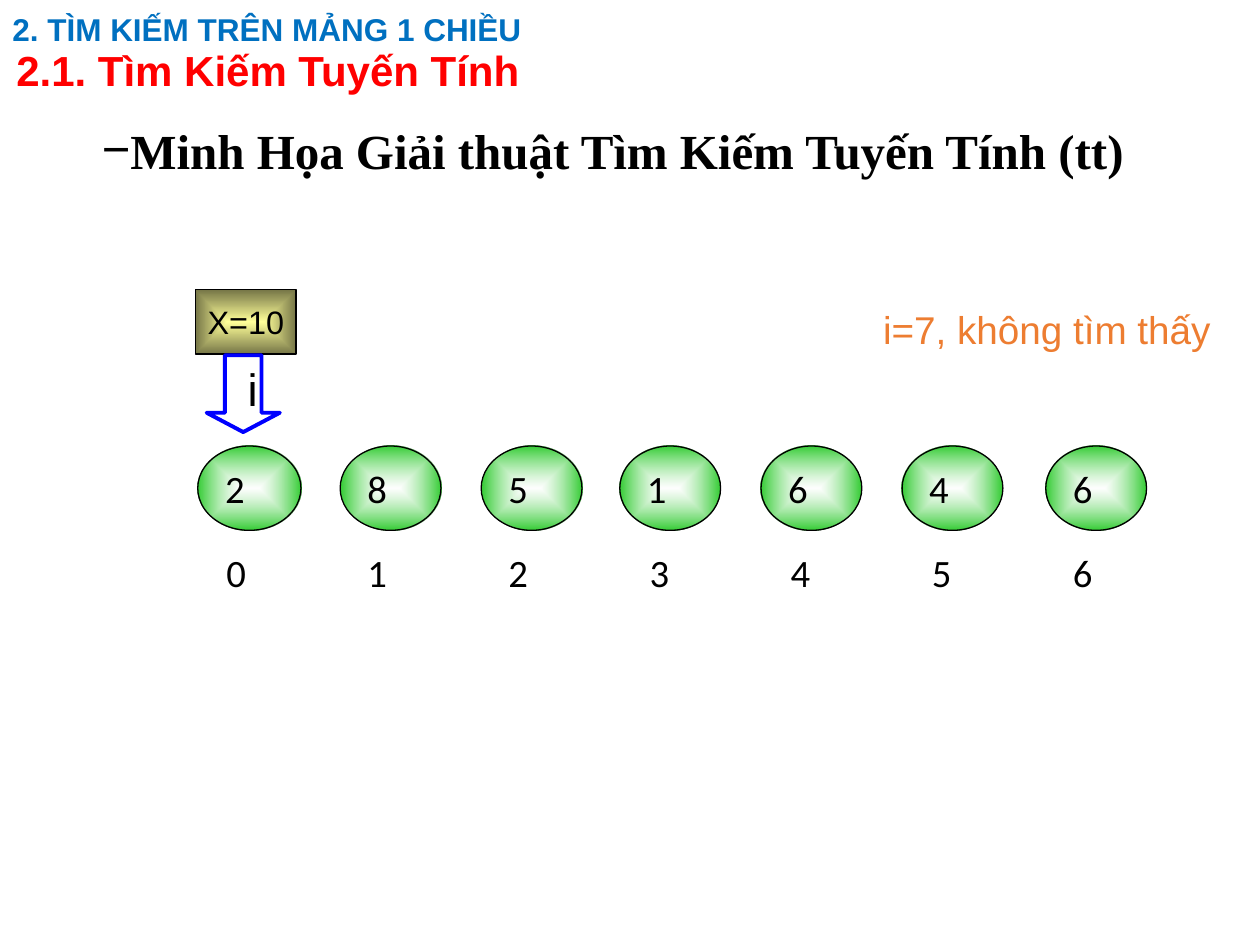
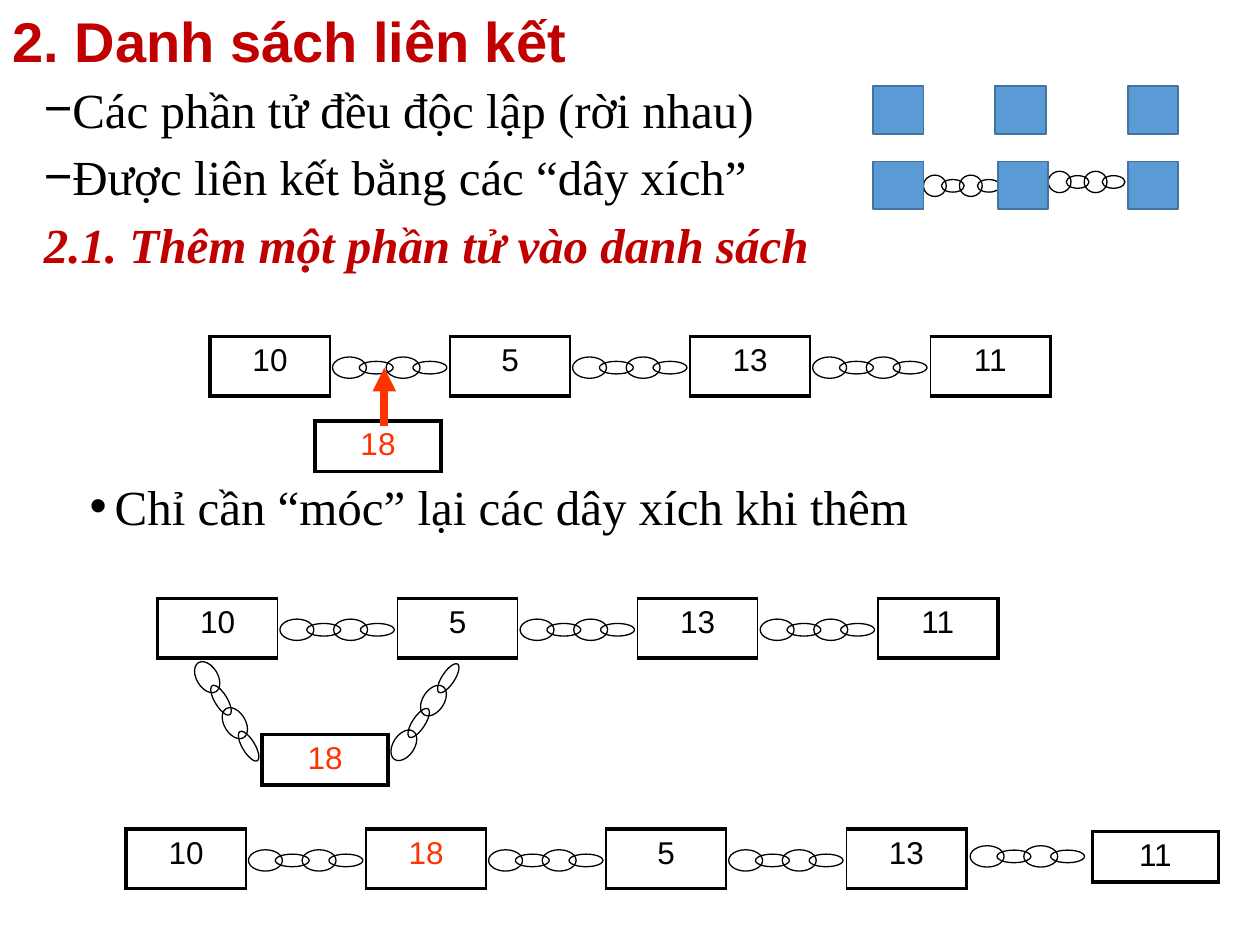
import math
import pptx
import pptx.dml.color
import pptx.enum.shapes
import pptx.enum.text
import pptx.oxml
import pptx.oxml.ns
import pptx.util
from lxml import etree

Pt = pptx.util.Pt
RGB = pptx.dml.color.RGBColor.from_string
Shape = pptx.enum.shapes.MSO_SHAPE
Anchor = pptx.enum.text.MSO_ANCHOR
Align = pptx.enum.text.PP_ALIGN
qn = pptx.oxml.ns.qn
SPACE = pptx.oxml.ns.nsdecls("a")

INK = {
    "black": "000000", "white": "FFFFFF", "red": "FF0000", "wine": "C00000",
    "blue": "0070C0", "arrow": "0000FF", "orange": "ED7D31", "new": "FF3300",
    "green": "33CC33", "cream": "FFFF99", "olive": "767647",
    "square": "5B9BD5", "edge": "43739E",
}
SANS, SERIF, BODY = "Arial", "Times New Roman", "Calibri"
DASH = ("−", 13.7, -21.6)
DOT = ("•", 40.5, -14.4)


def draw(host, kind, at, line=None, weight=0.75, fill=None):
    """Add a preset shape; fill is a colour name or a (centre, rim, alpha) glow."""
    shape = host.shapes.add_shape(kind, *[Pt(v) for v in at])
    shape.shadow.inherit = False
    if isinstance(fill, tuple):
        mid, rim, alpha = fill
        glow = pptx.oxml.parse_xml(
            f'<a:gradFill {SPACE} rotWithShape="1"><a:gsLst>'
            f'<a:gs pos="0"><a:srgbClr val="{INK[mid]}"><a:alpha val="{alpha}000"/></a:srgbClr></a:gs>'
            f'<a:gs pos="100000"><a:srgbClr val="{INK[rim]}"/></a:gs></a:gsLst>'
            '<a:path path="shape"><a:fillToRect l="50000" t="50000" r="50000" b="50000"/></a:path>'
            '</a:gradFill>')
        shape._element.spPr.find(qn("a:prstGeom")).addnext(glow)
    elif fill:
        shape.fill.solid()
        shape.fill.fore_color.rgb = RGB(INK[fill])
    else:
        shape.fill.background()
    if line:
        shape.line.color.rgb = RGB(INK[line])
        shape.line.width = Pt(weight)
    else:
        shape.line.fill.background()
    return shape


def write(frame, text, font, size, tint="black", align=Align.LEFT, bold=False, bullet=None):
    """Put a paragraph into a text frame, reusing the first if empty."""
    para = frame.paragraphs[0] if not frame.text else frame.add_paragraph()
    para.text = text
    para.alignment = align
    if bullet:
        sign, left, hang = bullet
        props = para._p.get_or_add_pPr()
        props.set("marL", str(Pt(left)))
        props.set("indent", str(Pt(hang)))
        etree.SubElement(props, qn("a:buFont")).set("typeface", SANS)
        etree.SubElement(props, qn("a:buChar")).set("char", sign)
    para.font.name = font
    para.font.size = Pt(size)
    para.font.bold = bold
    para.font.color.rgb = RGB(INK[tint])
    return para


deck = pptx.Presentation()
deck.slide_width, deck.slide_height = Pt(720), Pt(540)
search, chain = [deck.slides.add_slide(deck.slide_layouts[6]) for _ in range(2)]

# Headings and notes of both slides
HEADS = [
    (search, (51.1, 56.3, 668.9, 55.4), "Minh Họa Giải thuật Tìm Kiếm Tuyến Tính (tt)",
     SERIF, 28, "black", True, 1.1, DASH),
    (search, (0, 0, 707.8, 36), "2. TÌM KIẾM TRÊN MẢNG 1 CHIỀU", SANS, 18, "blue", True, 0.9, None),
    (search, (2.2, 23.8, 668.9, 36), "2.1. Tìm Kiếm Tuyến Tính", SANS, 24, "red", True, 0.9, None),
    (search, (497.5, 171.4, 223.9, 33.8), "i=7, không tìm thấy", SANS, 22.1, "orange", False, 1.0, None),
    (chain, (0, 0, 620.6, 50.4), "2. Danh sách liên kết", SANS, 32, "wine", True, 0.9, None),
]
for slide, at, text, font, size, tint, bold, gap, bullet in HEADS:
    frame = slide.shapes.add_textbox(*[Pt(v) for v in at]).text_frame
    frame.word_wrap = True
    frame.vertical_anchor = Anchor.MIDDLE
    para = write(frame, text, font, size, tint, bold=bold, bullet=bullet)
    para.line_spacing = gap

# Search: array cells with their index below
LEFTS = [113, 194.4, 275, 354.2, 434.9, 515.5, 597.6]
for k, (left, value) in enumerate(zip(LEFTS, "2851646")):
    cell = draw(search, Shape.OVAL, (left, 254.9, 59 if k == 0 else 57.6, 48.2),
                "black", fill=("white", "green", 60))
    index = draw(search, Shape.OVAL, (113.8 + 80.64 * k, 303.1, 57.6, 48.2))
    for oval, text in ((cell, value), (index, str(k))):
        oval.text_frame.vertical_anchor = Anchor.TOP
        write(oval.text_frame, text, BODY, 22.1)

# Search: key and pointer
key = draw(search, Shape.RECTANGLE, (111.6, 165.6, 57.6, 36.7), "black",
           fill=("cream", "olive", 100))
key.text_frame.word_wrap = False
key.text_frame.vertical_anchor = Anchor.MIDDLE
write(key.text_frame, "X=10", SANS, 18.5)

hand = draw(search, Shape.DOWN_ARROW, (118.1, 203, 41.8, 43.9), "arrow", 2.25)
hand.adjustments[0], hand.adjustments[1] = 0.5, 0.264
hand.text_frame.margin_left = Pt(13)
hand.text_frame.vertical_anchor = Anchor.TOP
write(hand.text_frame, "i", SANS, 25.9)

# List: body text
frame = chain.shapes.add_textbox(Pt(18), Pt(41.8), Pt(696.2), Pt(396.7)).text_frame
frame.word_wrap = True
LINES = [
    ("Các phần tử đều độc lập (rời nhau)", "black", DASH, 0),
    ("Được liên kết bằng các “dây xích”", "black", DASH, 5),
    ("2.1. Thêm một phần tử vào danh sách", "wine", None, 5),
    ("Chỉ cần “móc” lại các dây xích khi thêm", "black", DOT, 116),
]
for text, tint, bullet, space in LINES:
    para = write(frame, text, SERIF, 28, tint, Align.JUSTIFY, tint == "wine", bullet)
    para.font.italic = tint == "wine"
    para.space_before = Pt(space)

# List: node tables, with an empty cell wherever a chain runs
COL = 68.6
ROWS = [
    (120, 192.2, ["10", "", "5", "", "13", "", "11"]),
    (90, 342, ["10", "", "5", "", "13", "", "11"]),
    (72, 473.8, ["10", "", "18", "", "5", "", "13"]),
]
SINGLES = [(180, 240.5, ["18"]), (149.8, 419.8, ["18"]), (624.2, 475.2, ["11"])]
for left, top, nodes in ROWS + SINGLES:
    alone = len(nodes) == 1
    wide, high = (72, 28.4) if alone else (COL, 34)
    table = chain.shapes.add_table(1, len(nodes), Pt(left), Pt(top),
                                   Pt(wide * len(nodes)), Pt(high)).table
    table.first_row = table.horz_banding = False
    for k, node in enumerate(nodes):
        table.columns[k].width = Pt(wide)
        cell = table.cell(0, k)
        sides = {"L": 2.25 if k == 0 else 1,
                 "R": 2.25 if k == len(nodes) - 1 else 1}
        if node:
            sides.update(T=2.25, B=2.25)
            write(cell.text_frame, node, SANS, 18,
                  "new" if node == "18" else "black", Align.CENTER)
        props = cell._tc.get_or_add_tcPr()
        for side, weight in sides.items():
            props.append(pptx.oxml.parse_xml(
                f'<a:ln{side} {SPACE} w="{Pt(weight)}"><a:solidFill>'
                f'<a:srgbClr val="{INK["black"]}"/></a:solidFill></a:ln{side}>'))
        cell.fill.background()

# List: chains, each given by the centre of its first link, link width and angle
CHAINS = [(left + 79.7 + 2 * COL * k, top + 17.9, 19.4, 0)
          for left, top, _ in ROWS for k in range(3)]
CHAINS += [
    (564.1, 489.4, 19.4, 0),
    (118.4, 387, 19.4, 59),
    (230.8, 425.9, 19.4, -56.5),
    (534.2, 106.2, 13, 0),
    (605.5, 104, 13, 0),
]
for x, y, wide, turn in CHAINS:
    group = chain.shapes.add_group_shape()
    for k in range(4):
        high = 7.2 if k % 2 else 12.2
        step = 0.79 * wide * k
        mid = x + step * math.cos(math.radians(turn))
        level = y + step * math.sin(math.radians(turn))
        link = draw(group, Shape.OVAL, (mid - wide / 2, level - high / 2, wide, high), "black")
        link.rotation = turn

# List: loose squares above, linked squares below
for top, lefts in ((49, (499, 568.8, 644.4)), (92.2, (499, 570.2, 644.4))):
    for left in lefts:
        draw(chain, Shape.RECTANGLE, (left, top, 28.8, 27.4), "edge", 1, "square")

# List: insertion arrow
arrow = chain.shapes.add_connector(pptx.enum.shapes.MSO_CONNECTOR.STRAIGHT,
                                   Pt(219.6), Pt(243.4), Pt(219.6), Pt(210.2))
arrow.line.color.rgb = RGB(INK["new"])
arrow.line.width = Pt(4.5)
etree.SubElement(arrow.line._get_or_add_ln(), qn("a:tailEnd")).set("type", "triangle")
etree.SubElement(arrow._element.spPr, qn("a:effectLst"))

deck.save("out.pptx")
